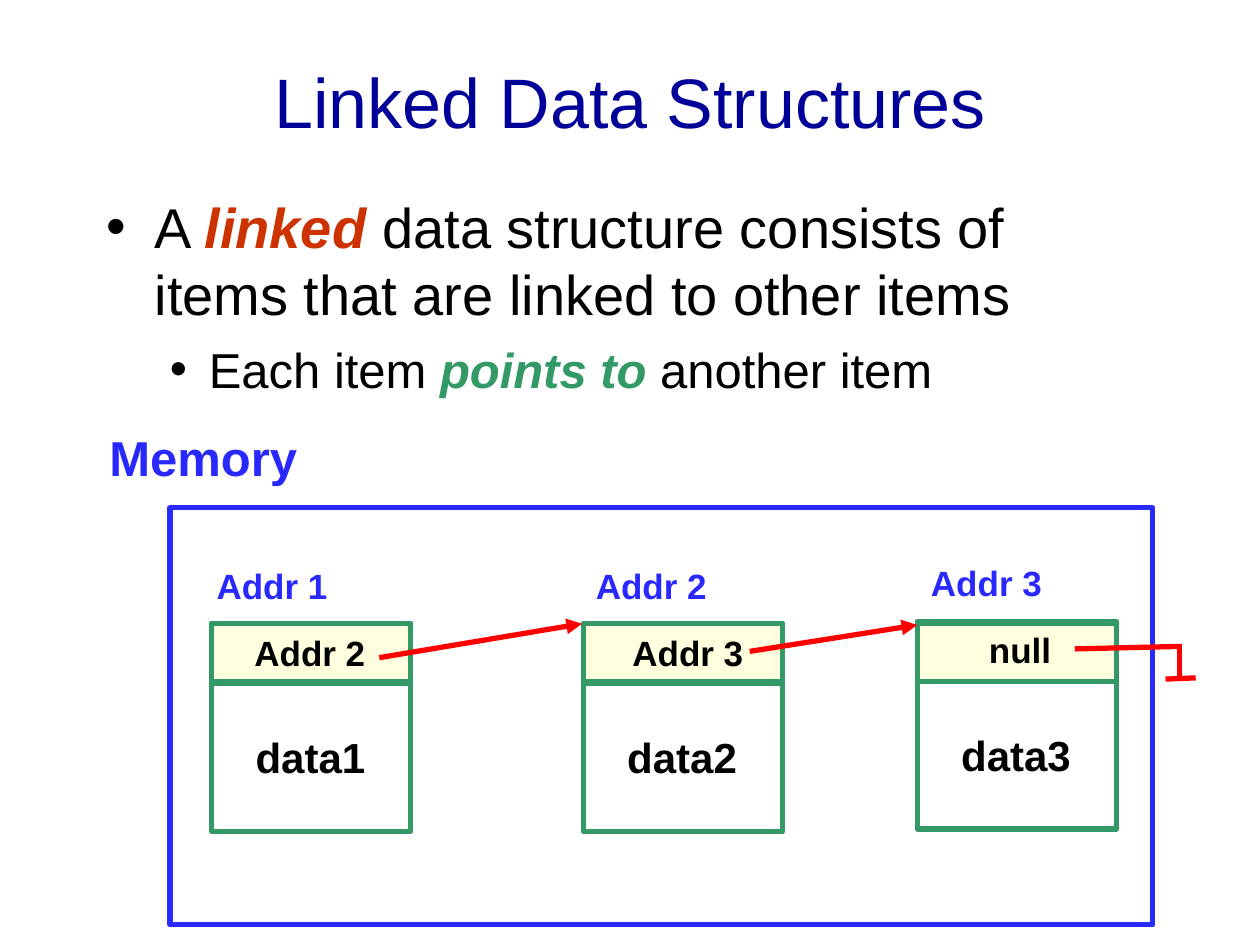
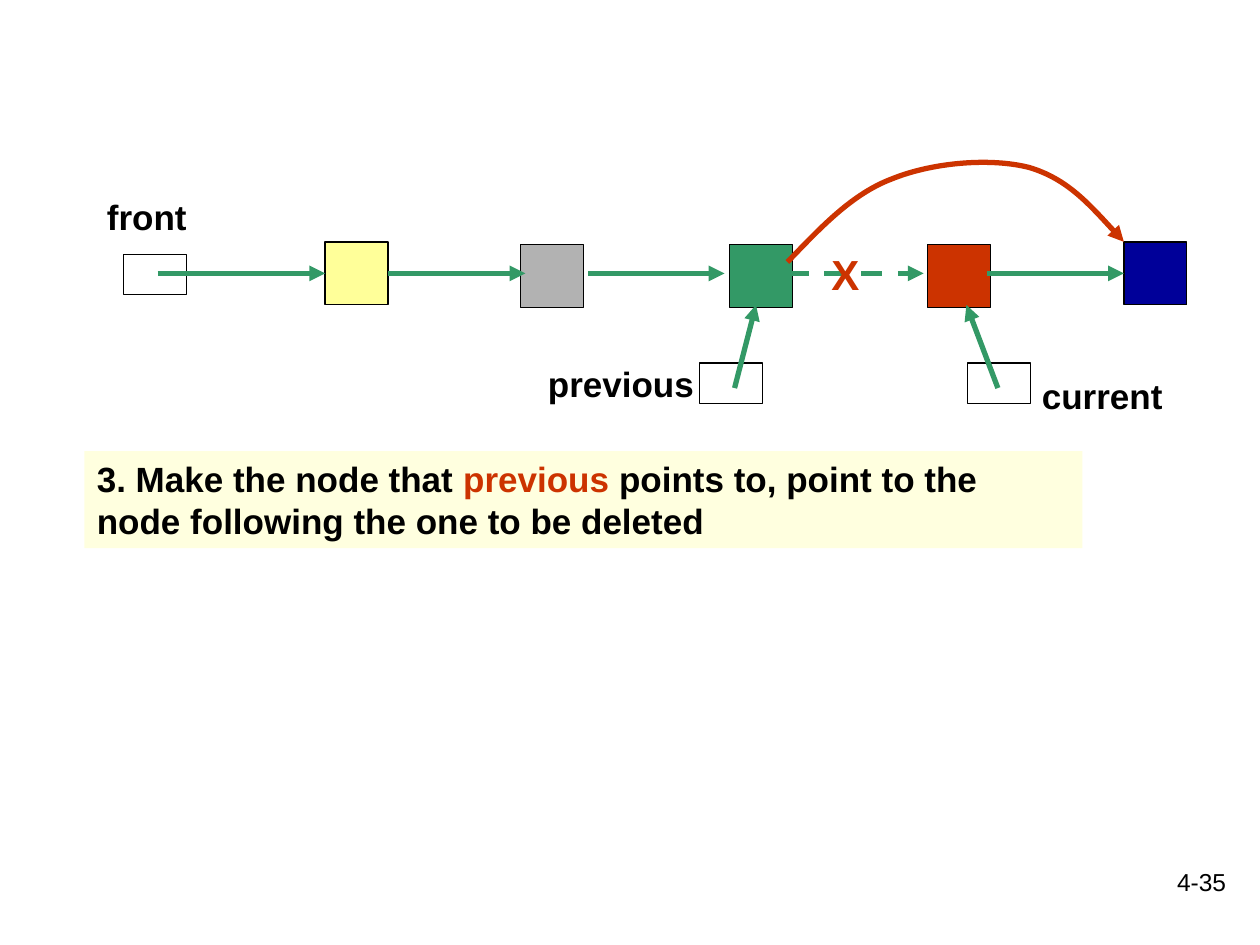
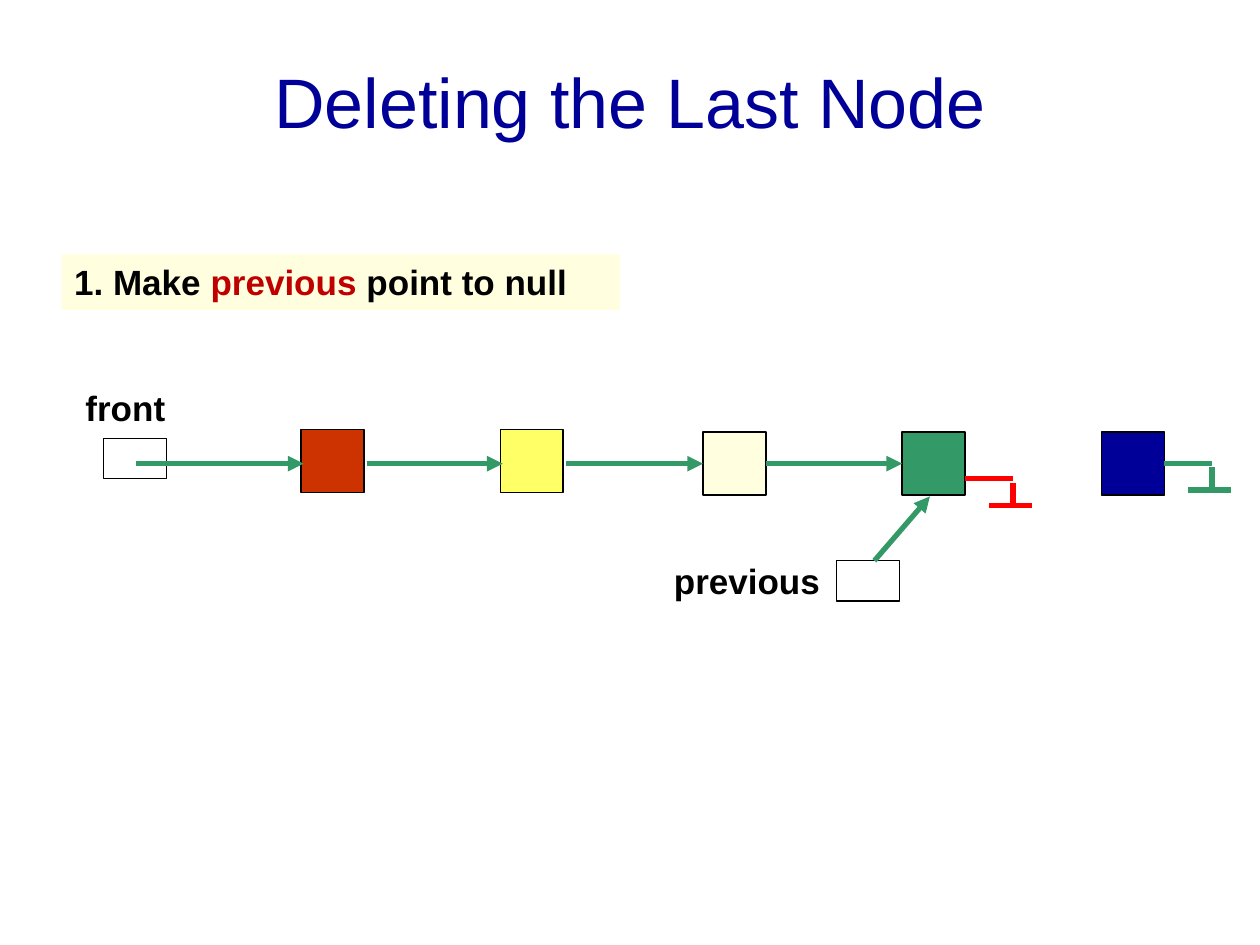
from lxml import etree
from pptx import Presentation
from pptx import util as u
from pptx.dml.color import RGBColor
from pptx.enum import dml, shapes, text
from pptx.oxml.ns import qn

COLORS = {
    "navy": "000099", "black": "000000", "orange": "CC3300", "green": "339966",
    "blue": "2929FF", "cream": "FFFFDF", "red": "FF0000", "dark red": "C00000",
    "gray": "B2B2B2", "pale yellow": "FFFF99", "yellow": "FFFF66",
}
FONT = "Arial"
NODE = 0.5  # side of a list node
NODE_MIDDLE = NODE / 2
LABEL_HEIGHT = 0.44
POINTER_HEIGHT = 0.32


def add_box(slide, area, pieces=(), size=20, bold=True, fill=None, line=None,
            weight=0.75, wrap=True):
    """Add a rectangle, or a text box if it has neither fill nor line; pieces are (text, colour)."""
    area = [u.Inches(length) for length in area]
    if fill or line:
        shape = slide.shapes.add_shape(shapes.MSO_SHAPE.RECTANGLE, *area)
        shape.shadow.inherit = False
    else:
        shape = slide.shapes.add_textbox(*area)
    if fill:
        shape.fill.solid()
        shape.fill.fore_color.rgb = RGBColor.from_string(COLORS[fill])
    else:
        shape.fill.background()
    if line:
        shape.line.color.rgb = RGBColor.from_string(COLORS[line])
        shape.line.width = u.Pt(weight)
    else:
        shape.line.fill.background()
    shape.text_frame.word_wrap = wrap
    if not wrap:
        shape.text_frame.auto_size = text.MSO_AUTO_SIZE.SHAPE_TO_FIT_TEXT
    shape.text_frame.vertical_anchor = text.MSO_ANCHOR.TOP
    paragraph = shape.text_frame.paragraphs[0]
    paragraph.alignment = text.PP_ALIGN.LEFT
    for words, color in pieces:
        run = paragraph.add_run()
        run.text = words
        run.font.name, run.font.size, run.font.bold = FONT, u.Pt(size), bold
        run.font.color.rgb = RGBColor.from_string(COLORS[color])
    return shape


def add_line(slide, points, color, arrow=False, dash=False, begin=None, end=None):
    """Join two points by a connector, or more points by cubic curves.

    begin and end are rectangles left at the right side and met at the left side.
    """
    points = [(u.Inches(x), u.Inches(y)) for x, y in points]
    if len(points) == 2:
        shape = slide.shapes.add_connector(
            shapes.MSO_CONNECTOR.STRAIGHT, *points[0], *points[1])
        if begin is not None:
            shape.begin_connect(begin, 3)
        if end is not None:
            shape.end_connect(end, 1)
    else:
        builder = slide.shapes.build_freeform(*points[0])
        builder.add_line_segments(points[1:], close=False)
        shape = builder.convert_to_shape()
        shape.fill.background()
        segments = list(shape._element.iter(qn("a:lnTo")))
        for first in range(0, len(segments), 3):
            curve = etree.Element(qn("a:cubicBezTo"))
            segments[first].addprevious(curve)
            for segment in segments[first:first + 3]:
                curve.append(segment[0])
                segment.getparent().remove(segment)
    shape.line.color.rgb = RGBColor.from_string(COLORS[color])
    shape.line.width = u.Pt(3)
    if dash:
        shape.line.dash_style = dml.MSO_LINE.DASH
    properties = shape._element.spPr
    if arrow:
        etree.SubElement(properties.find(qn("a:ln")), qn("a:tailEnd"), type="triangle")
    etree.SubElement(properties, qn("a:effectLst"))
    return shape


presentation = Presentation()
presentation.slide_width, presentation.slide_height = u.Inches(10), u.Inches(7.5)
title_only, blank = presentation.slide_layouts[5], presentation.slide_layouts[6]

slides = []
for heading in ("Linked Data Structures", None, "Deleting the Last Node"):
    slide = presentation.slides.add_slide(title_only if heading else blank)
    slides.append(slide)
    if heading:
        title = slide.shapes.title
        title.left, title.top = u.Inches(0.75), u.Inches(0.17)
        title.width, title.height = u.Inches(8.5), u.Inches(1.25)
        title.text_frame.text = heading
        title.text_frame.vertical_anchor = text.MSO_ANCHOR.MIDDLE
        title.text_frame.paragraphs[0].alignment = text.PP_ALIGN.CENTER
        font = title.text_frame.paragraphs[0].runs[0].font
        font.name, font.size = FONT, u.Pt(40)
        font.color.rgb = RGBColor.from_string(COLORS["navy"])
structures, relinking, last_node = slides

# Linked Data Structures: bullets
bullets = [
    (32, 8, 0.38, 0.38, [("A ", "black"), ("linked ", "orange"),
     ("data structure consists of items that are linked to other items", "black")]),
    (28, 7, 0.81, 0.31, [("Each item ", "black"), ("points to", "green"),
     (" another item", "black")]),
]
body = add_box(structures, (0.75, 1.48, 8.5, 5.17)).text_frame
for level, (size, space, margin, hanging, pieces) in enumerate(bullets):
    paragraph = body.add_paragraph() if level else body.paragraphs[0]
    paragraph.level = level
    paragraph.space_before = u.Pt(space)
    properties = paragraph._p.get_or_add_pPr()
    properties.set("marL", str(u.Inches(margin)))
    properties.set("indent", str(-u.Inches(hanging)))
    etree.SubElement(properties, qn("a:buFont"), typeface=FONT)
    etree.SubElement(properties, qn("a:buChar"), char="•")
    for words, color in pieces:
        run = paragraph.add_run()
        run.text = words
        run.font.name, run.font.size = FONT, u.Pt(size)
        run.font.bold = run.font.italic = color != "black"
        run.font.color.rgb = RGBColor.from_string(COLORS[color])

# Linked Data Structures: memory with three items
add_box(structures, (1.35, 4.03, 7.8, 3.31), line="blue", weight=3)
add_box(structures, (0.77, 3.34, 1.69, 0.57), [("Memory", "blue")], 28, wrap=False)
items = [  # left, top, address left, link left, link width, link
    (1.68, 4.95, 1.62, 1.92, 1.08, "Addr 2"),
    (4.63, 4.95, 4.63, 4.92, 1.08, "Addr 3"),
    (7.28, 4.93, 7.29, 7.75, 0.72, "null"),
]
for number, (left, top, address_left, link_left, link_width, link) in enumerate(items, 1):
    add_box(structures, (left, top, 1.58, 1.65), line="green", weight=3)
    add_line(structures, [(left, top + 0.47), (left + 1.58, top + 0.47)], "green")
    add_box(structures, (left, 4.95, 1.58, 0.46), fill="cream", line="green", weight=3)
    add_box(structures, (left + 0.25, top + 0.81, 1.07, 0.5),
            [(f"data{number}", "black")], 24, wrap=False)
    add_box(structures, (address_left, top - 0.52, 1.08, LABEL_HEIGHT),
            [(f"Addr {number}", "blue")], wrap=False)
    add_box(structures, (link_left, top + 0.01, link_width, LABEL_HEIGHT),
            [(link, "black")], wrap=False)
for points in ([(3.01, 5.22), (4.62, 4.95)], [(5.95, 5.17), (7.28, 4.96)]):
    add_line(structures, points, "red", arrow=True)
for points in ([(8.53, 5.15), (9.38, 5.13)], [(9.36, 5.12), (9.36, 5.38)],
               [(9.25, 5.39), (9.49, 5.38)]):
    add_line(structures, points, "red")

# Lists of nodes: what the last two slides are made of
diagrams = [
    {
        "slide": relinking,
        "note": ((0.67, 3.58, 7.92, 0.77), [
            ("3. Make the node that ", "black"), ("previous", "orange"),
            (" points to, point to the node following the one to be deleted", "black")]),
        "nodes": [(2.58, 1.92, "pale yellow"), (4.13, 1.94, "gray"), (5.79, 1.94, "green"),
                  (7.36, 1.94, "orange"), (8.92, 1.92, "navy")],
        "pointers": [(0.98, 2.02), (5.55, 2.88), (7.68, 2.88)],
        "labels": [("front", 0.75, 1.5, 1), ("previous", 4.25, 2.83, 1.42),
                   ("current", 8.17, 2.92, 1.42)],
        "row": 2.17,
        "links": [(1.25, 2.58), (3.08, 4.17), (4.67, 5.75), (6.25, 7.33), (7.83, 8.92)],
        "dashed link": 3,
        "pointer arrows": [[(5.83, 3.08), (6, 2.42)], [(7.92, 3.08), (7.67, 2.42)]],
    },
    {
        "slide": last_node,
        "note": ((0.49, 2.02, 4.43, 0.44), [
            ("1. Make ", "black"), ("previous", "dark red"), (" point to null", "black")]),
        "nodes": [(2.39, 3.41, "orange"), (3.97, 3.41, "yellow"), (5.58, 3.43, "cream"),
                  (7.16, 3.43, "green"), (8.74, 3.43, "navy")],
        "pointers": [(0.82, 3.48), (6.64, 4.45)],
        "labels": [("front", 0.58, 3.02, 1), ("previous", 5.25, 4.39, 1.42)],
        "row": 3.68,
        "links": [(1.08, 2.41), (2.91, 3.99), (4.49, 5.58), (6.08, 7.16)],
        "dashed link": None,
        "pointer arrows": [[(6.94, 4.45), (7.38, 3.94)]],
    },
]
for diagram in diagrams:
    slide, row = diagram["slide"], diagram["row"]
    area, pieces = diagram["note"]
    add_box(slide, area, pieces, fill="cream")
    for left, top in diagram["pointers"]:
        add_box(slide, (left, top, NODE, POINTER_HEIGHT), line="black")
    for label, left, top, width in diagram["labels"]:
        add_box(slide, (left, top, width, LABEL_HEIGHT), [(label, "black")])
    left_sides, right_sides = {}, {}
    for left, top, fill in diagram["nodes"]:
        node = add_box(slide, (left, top, NODE, NODE), fill=fill, line="black")
        if round(top + NODE_MIDDLE, 2) == row:
            left_sides[left] = right_sides[round(left + NODE, 2)] = node
    for number, (start, stop) in enumerate(diagram["links"]):
        add_line(slide, [(start, row), (stop, row)], "green", arrow=True,
                 dash=number == diagram["dashed link"],
                 begin=right_sides.get(start), end=left_sides.get(stop))
    for points in diagram["pointer arrows"]:
        add_line(slide, points, "green", arrow=True)

# The link around the deleted node
add_box(relinking, (6.5, 1.92, 0.5, 0.5), [("X", "orange")], 24)
add_line(relinking, [(6.25, 2.08), (6.51, 1.81), (6.76, 1.54), (7.08, 1.42),
                     (7.4, 1.29), (7.86, 1.25), (8.17, 1.33),
                     (8.47, 1.42), (8.69, 1.67), (8.92, 1.92)], "orange", arrow=True)
page_number = add_box(relinking, (7.75, 6.83, 2.08, 0.5), [("4-35", "black")], 14, bold=False)
page_number.text_frame.paragraphs[0].alignment = text.PP_ALIGN.RIGHT

# Null links: a lead, a drop and a bar
for x, y, color, node in ((9.24, 3.68, "green", right_sides[9.24]), (7.66, 3.8, "red", None)):
    add_line(last_node, [(x, y), (x + 0.38, y)], color, begin=node)
    add_line(last_node, [(x + 0.38, y + 0.03), (x + 0.38, y + 0.21)], color)
    add_line(last_node, [(x + 0.19, y + 0.21), (x + 0.53, y + 0.21)], color)

presentation.save("out.pptx")
